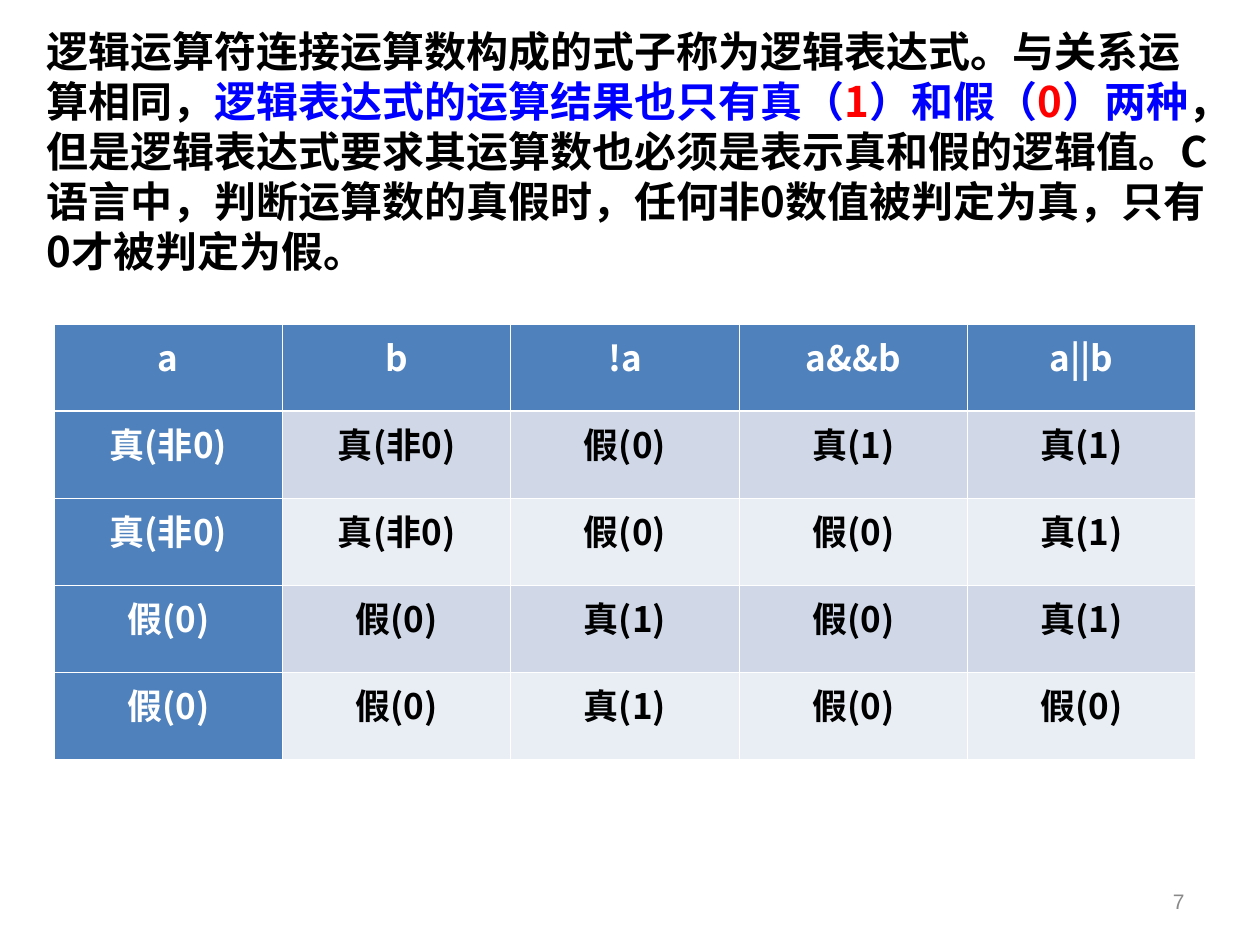
from lxml.etree import SubElement
from pptx import Presentation
from pptx.dml.color import RGBColor
from pptx.enum.text import MSO_ANCHOR, MSO_AUTO_SIZE, PP_ALIGN
from pptx.oxml.ns import qn
from pptx.util import Inches, Pt

WIDTH, HEIGHT = Inches(10), Inches(7.5)
CJK = "Noto Sans CJK SC"
COLORS = {
    "text": "000000",
    "statement": "0000FF",
    "value": "FF0000",
    "header": "4F81BD",
    "odd": "D0D8E8",
    "even": "E9EDF4",
    "white": "FFFFFF",
    "number": "898989",
}
BODY_FORMAT = {"size": Pt(24), "bold": True, "name": CJK}
CELL_FORMAT = {"size": Pt(20), "bold": True, "name": CJK}
NUMBER_FORMAT = {"size": Pt(12), "name": "Arial"}
CELL_MARGINS = {
    "margin_left": Inches(0.07),
    "margin_right": Inches(0.07),
    "margin_top": Inches(0.05),
    "margin_bottom": Inches(0.05),
}

EXPLANATION = [
    ("逻辑运算符连接运算数构成的式子称为逻辑表达式。与关系运算相同，", "text"),
    ("逻辑表达式的运算结果也只有真（", "statement"),
    ("1", "value"),
    ("）和假（", "statement"),
    ("0", "value"),
    ("）两种", "statement"),
    ("，但是逻辑表达式要求其运算数也必须是表示真和假的逻辑值。"
     "C语言中，判断运算数的真假时，任何非0数值被判定为真，只有0才被判定为假。", "text"),
]
TRUTH_TABLE = [
    ["a", "b", "!a", "a&&b", "a||b"],
    ["真(非0)", "真(非0)", "假(0)", "真(1)", "真(1)"],
    ["真(非0)", "真(非0)", "假(0)", "假(0)", "真(1)"],
    ["假(0)", "假(0)", "真(1)", "假(0)", "真(1)"],
    ["假(0)", "假(0)", "真(1)", "假(0)", "假(0)"],
]


def share(left, top, width, height):
    return [round(part * full) for part, full in
            zip((left, top, width, height), (WIDTH, HEIGHT) * 2)]


def apply(target, values):
    for name, value in values.items():
        setattr(target, name, value)


def add_run(paragraph, wording, color, values):
    run = paragraph.add_run()
    run.text = wording
    apply(run.font, values)
    run.font.color.rgb = RGBColor.from_string(COLORS[color])
    east_asian = SubElement(run.font._element, qn("a:ea"))
    east_asian.set("typeface", values["name"])


def fill_explanation(body):
    places = share(0.027, 0.02, 0.945, 0.295)
    apply(body, dict(zip(("left", "top", "width", "height"), places)))
    apply(body.text_frame, {"word_wrap": True, "auto_size": MSO_AUTO_SIZE.NONE})
    paragraph = body.text_frame.paragraphs[0]
    properties = paragraph._p.get_or_add_pPr()
    apply(paragraph, {"space_before": Pt(0), "line_spacing": Pt(28.7)})
    for name in ("marL", "indent"):
        properties.set(name, "0")
    SubElement(properties, qn("a:buNone"))
    for wording, color in EXPLANATION:
        add_run(paragraph, wording, color, BODY_FORMAT)


def add_borders(cell, widths):
    properties = cell._tc.get_or_add_tcPr()
    for side, width in widths.items():
        line = SubElement(properties, qn(f"a:ln{side}"), w=str(Pt(width)))
        solid = SubElement(line, qn("a:solidFill"))
        SubElement(solid, qn("a:srgbClr"), val=COLORS["white"])


def add_truth_table(slide):
    rows, columns = len(TRUTH_TABLE), len(TRUTH_TABLE[0])
    table = slide.shapes.add_table(
        rows, columns, *share(0.043, 0.343, 0.906, 0.461)).table
    for r, wordings in enumerate(TRUTH_TABLE):
        for c, wording in enumerate(wordings):
            cell = table.cell(r, c)
            heading = r == 0 or c == 0
            add_borders(cell, {"L": 0.45, "R": 0.45,
                               "T": 1.47 if r == 1 else 0.45,
                               "B": 1.47 if r == 0 else 0.45})
            cell.fill.solid()
            band = "header" if heading else "odd" if r % 2 else "even"
            cell.fill.fore_color.rgb = RGBColor.from_string(COLORS[band])
            apply(cell, CELL_MARGINS)
            paragraph = cell.text_frame.paragraphs[0]
            paragraph.alignment = PP_ALIGN.CENTER
            add_run(paragraph, wording, "white" if heading else "text", CELL_FORMAT)


def add_page_number(slide):
    frame = slide.shapes.add_textbox(*share(0.717, 0.927, 0.233, 0.053)).text_frame
    apply(frame, {"word_wrap": True, "vertical_anchor": MSO_ANCHOR.MIDDLE})
    paragraph = frame.paragraphs[0]
    paragraph.alignment = PP_ALIGN.RIGHT
    add_run(paragraph, "7", "number", NUMBER_FORMAT)


def main():
    deck = Presentation()
    apply(deck, {"slide_width": WIDTH, "slide_height": HEIGHT})
    slide = deck.slides.add_slide(deck.slide_layouts[1])
    title, body = slide.placeholders
    title._element.getparent().remove(title._element)
    add_page_number(slide)
    fill_explanation(body)
    add_truth_table(slide)
    deck.save("out.pptx")


if __name__ == "__main__":
    main()
